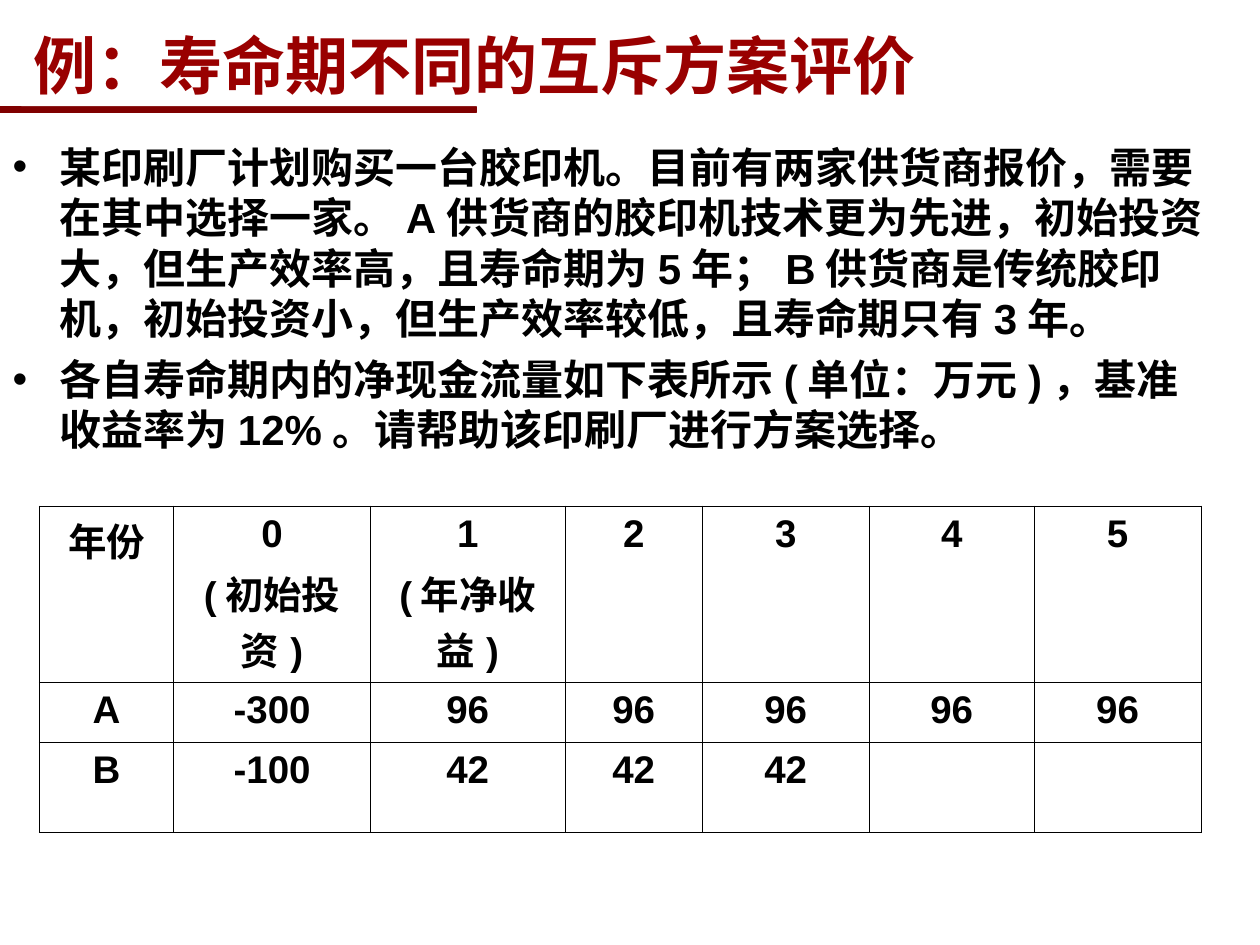
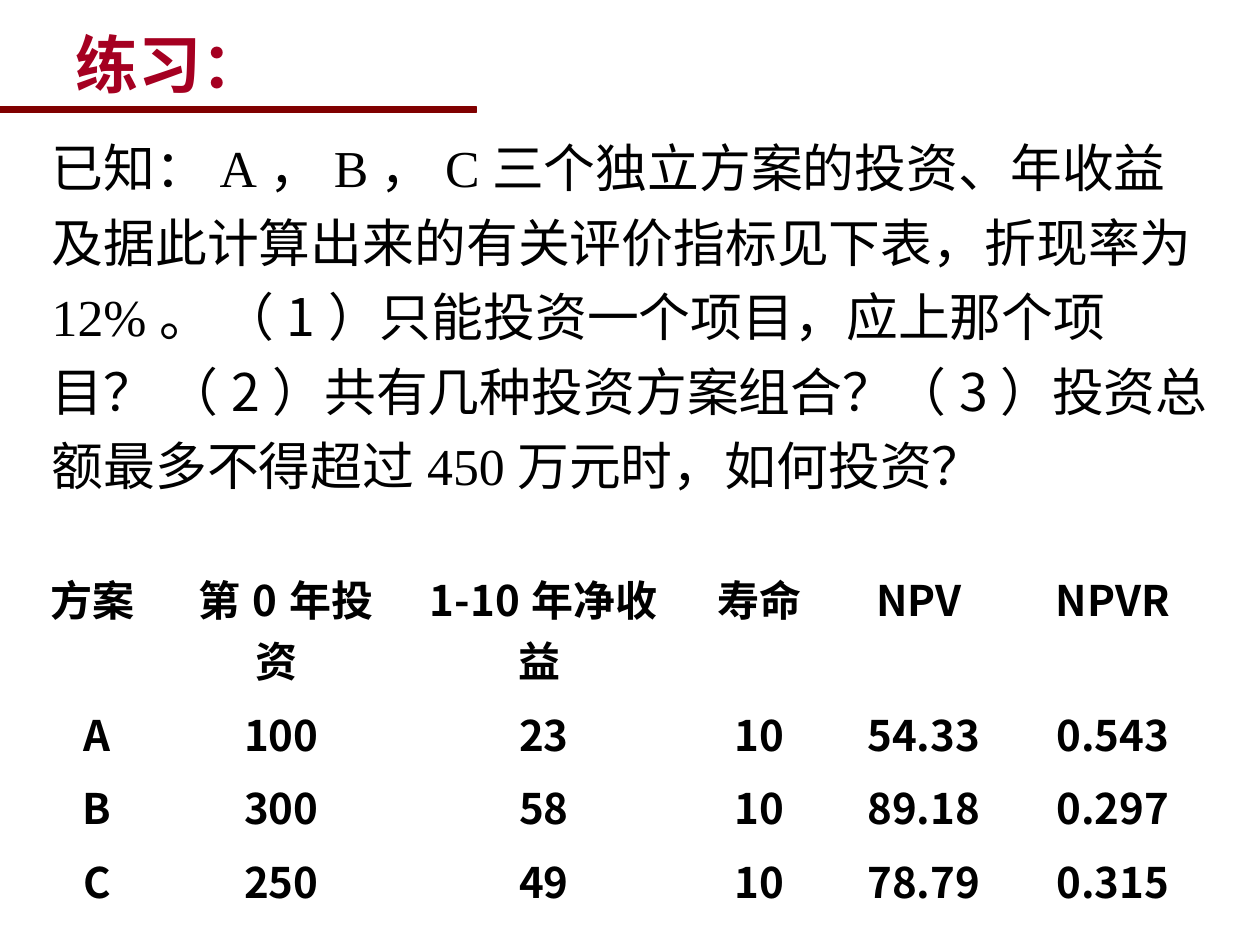
import itertools

import lxml.etree
import pptx
import pptx.dml.color
import pptx.enum.shapes
import pptx.enum.text
import pptx.oxml.ns
import pptx.util

Cm = pptx.util.Cm
Pt = pptx.util.Pt
RGBColor = pptx.dml.color.RGBColor
qn = pptx.oxml.ns.qn

MAROON = RGBColor(0x80, 0x00, 0x00)
RED = RGBColor(0x99, 0x00, 0x00)
CRIMSON = RGBColor(0xA5, 0x00, 0x21)
BLACK = RGBColor(0x00, 0x00, 0x00)
WHITE = RGBColor(0xFF, 0xFF, 0xFF)

LATIN = "Arial"
CHINESE = "Noto Sans CJK SC"
SERIF = "Times New Roman"

TITLE_AND_BODY, TITLE_ONLY = 1, 5


class Lesson:
    """Holds the deck, its style and the page being filled."""

    def __init__(self):
        self.deck = pptx.Presentation()
        self.deck.slide_width = Cm(25.4)
        self.deck.slide_height = Cm(19.05)
        self.page = None

    def add_page(self, layout):
        self.page = self.deck.slides.add_slide(self.deck.slide_layouts[layout])

    def master_band(self):
        """Draw the band under the title and move it behind everything on the master."""
        band = self.shape(pptx.enum.shapes.MSO_SHAPE.RECTANGLE, (-0.02, 2.15, 9.62, 0.12), MAROON, 0.75)
        band.fill.solid()
        band.fill.fore_color.rgb = MAROON
        self.deck.slide_master.shapes.element.insert(2, band.element)

    def shape(self, kind, place, line_color, line_width):
        shape = self.page.shapes.add_shape(kind, *map(Cm, place))
        shape.shadow.inherit = False
        shape.fill.background()
        shape.line.color.rgb = line_color
        shape.line.width = Pt(line_width)
        return shape

    def format(self, para, size, name=LATIN, color=BLACK, bold=True,
               align=pptx.enum.text.PP_ALIGN.LEFT):
        para.alignment = align
        para.font.size = Pt(size)
        para.font.bold = bold
        para.font.color.rgb = color
        para.font.name = name
        properties = para._p.pPr
        properties.set("hangingPunct", "0")
        defaults = properties.find(qn("a:defRPr"))
        lxml.etree.SubElement(defaults, qn("a:ea")).set("typeface", CHINESE)

    def place(self, box, place):
        box.left, box.top, box.width, box.height = map(Cm, place)
        box.text_frame.auto_size = pptx.enum.text.MSO_AUTO_SIZE.NONE

    def whiten(self, box):
        box.fill.solid()
        box.fill.fore_color.rgb = WHITE

    def title(self, text, place, color):
        box = self.page.shapes.title
        self.place(box, place)
        box.text_frame.text = text
        box.text_frame.vertical_anchor = pptx.enum.text.MSO_ANCHOR.MIDDLE
        self.format(box.text_frame.paragraphs[0], 36, color=color)
        return box

    def bullets(self, items, place):
        box = self.page.placeholders[1]
        self.place(box, place)
        self.whiten(box)
        box.text_frame.text = "\n".join(items)
        for index, para in enumerate(box.text_frame.paragraphs):
            para.space_before = Pt(6 if index else 0)
            para.line_spacing = 1.0
            self.format(para, 24)

    def question(self, pieces, place):
        """Write pieces that take the Chinese and the serif font in turn."""
        box = self.shape(pptx.enum.shapes.MSO_SHAPE.ROUNDED_RECTANGLE, place, WHITE, 1)
        frame = box.text_frame
        frame.word_wrap = True
        frame.vertical_anchor = pptx.enum.text.MSO_ANCHOR.MIDDLE
        para = frame.paragraphs[0]
        para.line_spacing = 1.2
        self.format(para, 29.6, CHINESE, bold=False)
        for piece, name in zip(pieces, itertools.cycle((CHINESE, SERIF))):
            span = para.add_run()
            span.text = piece
            span.font.name = name

    def table(self, rows, left, top, widths, heights, size, name, space, border):
        table = self.page.shapes.add_table(
            len(rows), len(widths), Cm(left), Cm(top), Cm(sum(widths)), Cm(sum(heights))).table
        table.first_row = table.horz_banding = False
        for column, width in zip(table.columns, widths):
            column.width = Cm(width)
        for row, height, texts in zip(table.rows, heights, rows):
            row.height = Cm(height)
            for cell, text in zip(row.cells, texts):
                cell.text = text
                self.borders(cell, border)
                cell.fill.background()
                for index, para in enumerate(cell.text_frame.paragraphs):
                    para.space_before = Pt(space if index else 0)
                    self.format(para, size, name, align=pptx.enum.text.PP_ALIGN.CENTER)

    def borders(self, cell, color):
        properties = cell._tc.get_or_add_tcPr()
        for side in ("a:lnL", "a:lnR", "a:lnT", "a:lnB"):
            line = lxml.etree.SubElement(properties, qn(side), w=str(Pt(0.45)))
            fill = lxml.etree.SubElement(line, qn("a:solidFill"))
            lxml.etree.SubElement(fill, qn("a:srgbClr"), val=str(color))


def supplier_page(lesson):
    lesson.add_page(TITLE_AND_BODY)
    lesson.master_band()
    title = lesson.title("例：寿命期不同的互斥方案评价", (0.43, 0.45, 22.71, 1.69), RED)
    lesson.whiten(title)
    lesson.bullets([
        "某印刷厂计划购买一台胶印机。目前有两家供货商报价，需要在其中选择一家。"
        "A供货商的胶印机技术更为先进，初始投资大，但生产效率高，且寿命期为5年；"
        "B供货商是传统胶印机，初始投资小，但生产效率较低，且寿命期只有3年。",
        "各自寿命期内的净现金流量如下表所示(单位：万元)，基准收益率为12%。"
        "请帮助该印刷厂进行方案选择。",
    ], (0, 2.72, 24.74, 6.81))
    lesson.table([
        ["年份", "0\n(初始投资)", "1\n(年净收益)", "2", "3", "4", "5"],
        ["A", "-300", "96", "96", "96", "96", "96"],
        ["B", "-100", "42", "42", "42", "", ""],
    ], 0.79, 10.2, (2.71, 3.97, 3.92, 2.77, 3.36, 3.33, 3.36), (3.55, 1.2, 1.82),
        22, LATIN, 5.5, BLACK)


def exercise_page(lesson):
    lesson.add_page(TITLE_ONLY)
    lesson.title("练习：", (1.27, 0.64, 21.59, 1.27), CRIMSON)
    lesson.question([
        "已知：", "A", "，", "B", "，", "C",
        "三个独立方案的投资、年收益及据此计算出来的有关评价指标见下表，折现率为", "12%",
        "。 （1）只能投资一个项目，应上那个项目？ （2）共有几种投资方案组合？"
        "（3）投资总额最多不得超过", "450", "万元时，如何投资？",
    ], (0.43, 2.54, 24.56, 7.42))
    lesson.table([
        ["方案 ", " 第0年投资 ", "1-10年净收益 ", "寿命", "NPV ", "NPVR"],
        ["A", "100", "23", "10", "54.33", "0.543"],
        ["B", "300", "58", "10", "89.18", "0.297"],
        ["C", "250", "49", "10", "78.79", "0.315"],
    ], 0.69, 11.32, (2.54, 4.88, 5.71, 2.97, 3.66, 3.96), (2.7, 1.48, 1.48, 1.48),
        24, CHINESE, 6, WHITE)


def main():
    lesson = Lesson()
    supplier_page(lesson)
    exercise_page(lesson)
    lesson.deck.save("out.pptx")


if __name__ == "__main__":
    main()
